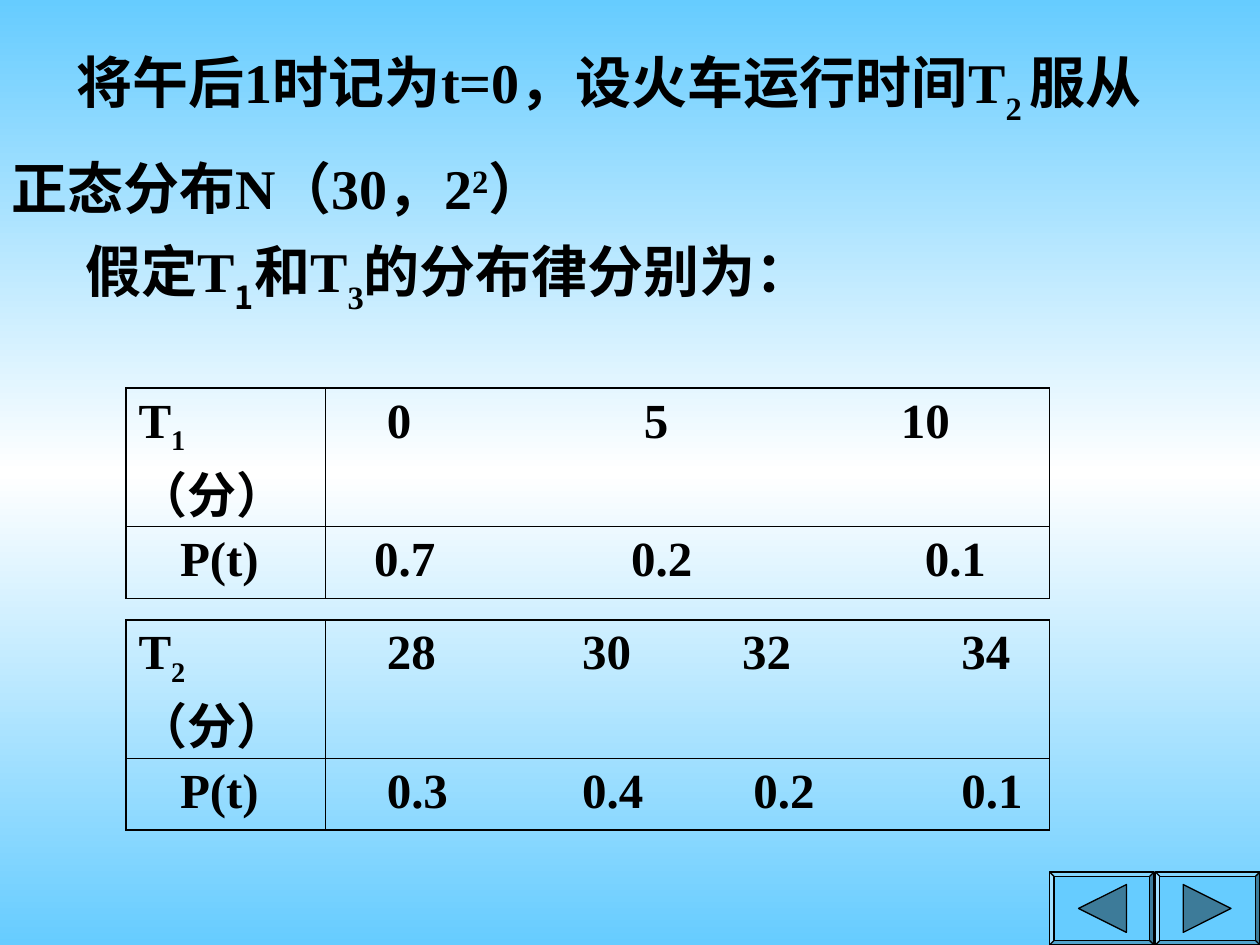
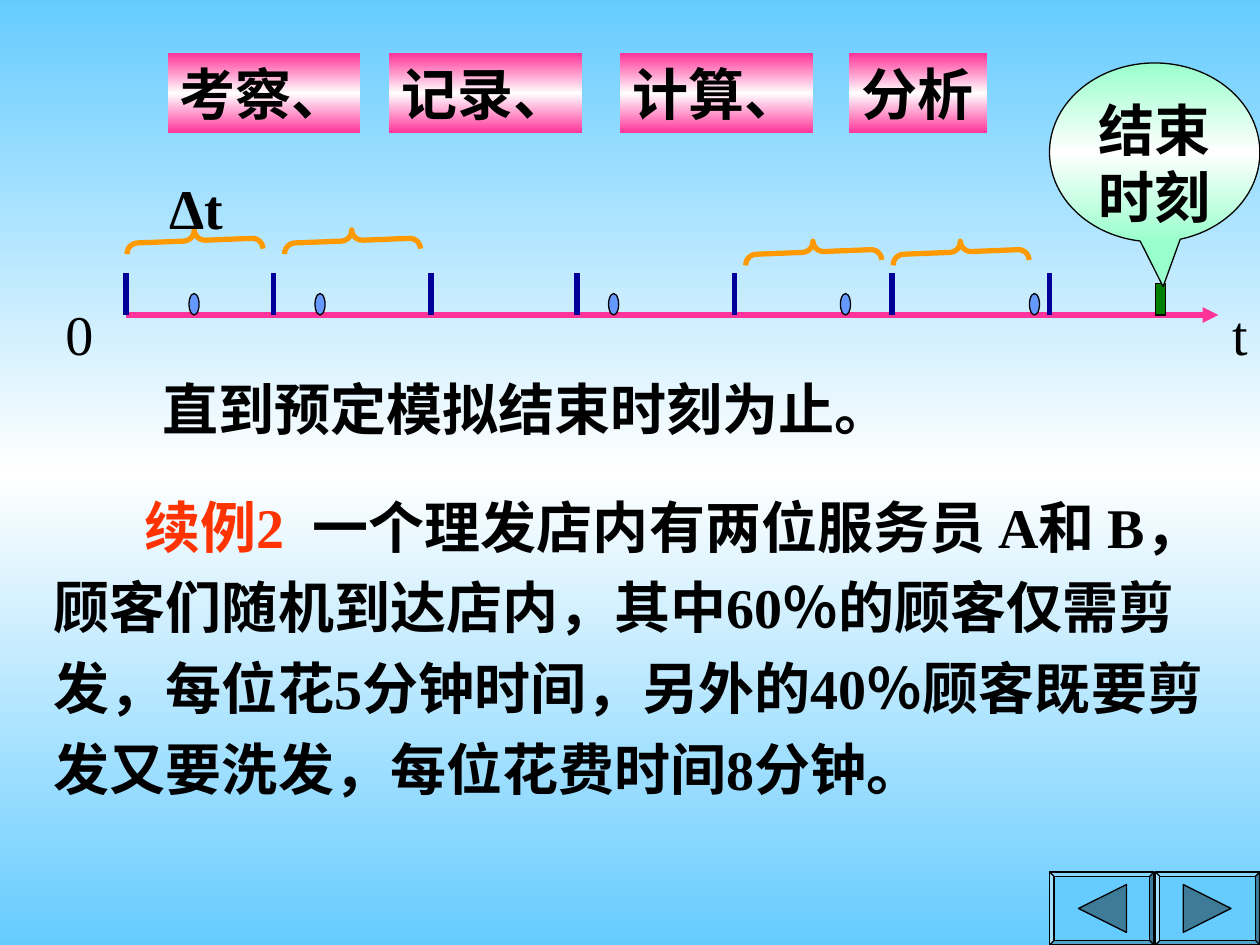
from copy import deepcopy
from lxml.etree import SubElement
from pptx import Presentation
from pptx.dml.color import RGBColor
from pptx.enum.shapes import MSO_CONNECTOR, MSO_SHAPE
from pptx.enum.text import MSO_ANCHOR, MSO_AUTO_SIZE, PP_ALIGN
from pptx.oxml.ns import qn
from pptx.util import Inches, Pt

LATIN, CHINESE = "Times New Roman", "Noto Sans CJK SC"
BLACK, WHITE, SKY, PINK, MINT = "000000", "FFFFFF", "66CCFF", "FF3399", "99FFCC"
NAVY, ORANGE, BLUE, GREEN, RED, TEAL = "000099", "FF9900", "6699FF", "008000", "FF3300", "3D7B99"
SUB, SUPER = {"baseline": -30}, {"baseline": 30}
CELL_SUB = {"baseline": -25}

NORMAL_TIME = [["将午后1时记为t=0，设火车运行时间T", ("2 ", SUB), "服从"],
               ["正态分布N（30，2", ("2", SUPER), "）"]]
ASSUMPTION = ["假定T", ("1", {"baseline": -30, "latin": CHINESE}), "和T", ("3", SUB), "的分布律分别为："]
DISTRIBUTIONS = [
    {"top": 3.08, "index": "1",
     "rows": [(["0", "5", "10"], [0.39, 2.43, 4.47]),
              (["0.7", "0.2", "0.1"], [0.29, 2.33, 4.66])]},
    {"top": 4.92, "index": "2",
     "rows": [(["28", "30", "32", "34"], [0.39, 1.94, 3.21, 4.95]),
              (["0.3", "0.4", "0.2", "0.1"], [0.39, 1.94, 3.3, 4.95])]},
]
TABLE_LEFT, COLUMN_WIDTHS, ROW_HEIGHTS = 1, [1.58, 5.75], [1.1, 0.57]

STEPS = [("考察、", 1.33, 1.53), ("记录、", 3.09, 1.53), ("计算、", 4.92, 1.53), ("分析", 6.74, 1.09)]
AXIS_TOP, AXIS_START, AXIS_END = 2.5, 1, 9.67
TICKS = [1, 2.17, 3.42, 4.58, 5.83, 7.08, 8.33]
ARRIVALS = [1.5, 2.5, 4.83, 6.67, 8.17]
BRACES = [(1.46, 1.37), (2.71, 1.37), (6.37, 1.46), (7.54, 1.46)]
AXIS_LABELS = [("Δt", 1.25, 1.33, 0.75, True), ("0", 0.42, 2.33, 0.5, False), ("t", 9.68, 2.33, 0.32, False)]
BARBER_SHOP = [("续例2", {"color": RED}), (" ", {"tracking": 8}),
               "一个理发店内有两位服务员 A和 B，顾客们随机到达店内，其中60％的顾客仅需剪发，"
               "每位花5分钟时间，另外的40％顾客既要剪发又要洗发，每位花费时间8分钟。"]

BUTTON_LEFTS, BUTTON_TOP, BUTTON_WIDTH, BUTTON_HEIGHT = (8.33, 9.17), 6.92, 0.83, 0.58
TRIANGLES = [[(8.56, 7.21), (8.94, 7.02), (8.94, 7.4)], [(9.39, 7.02), (9.77, 7.21), (9.39, 7.4)]]


def rgb(color):
    return RGBColor.from_string(color)


def paint_gradient(fill, color):
    fill.gradient()
    fill.gradient_angle = 90
    edge, middle = fill.gradient_stops
    edge.color.rgb, middle.color.rgb = rgb(color), rgb(WHITE)
    edge.position, middle.position = 0, 0.5
    last = deepcopy(edge._gs)
    last.set("pos", "100000")
    edge._gs.getparent().append(last)


def add_run(paragraph, text, size=32, color=BLACK, bold=True, latin=LATIN, baseline=0, tracking=0):
    run = paragraph.add_run()
    run.text = text
    font = run.font
    font.size, font.bold, font.name = Pt(size), bold, latin
    font.color.rgb = rgb(color)
    properties = run._r.get_or_add_rPr()
    if baseline:
        properties.set("baseline", str(baseline * 1000))
    if tracking:
        properties.set("spc", str(tracking * 100))
    SubElement(properties, qn("a:ea")).set("typeface", CHINESE)


def write(paragraph, parts, align=PP_ALIGN.LEFT, spacing=None, indent=0, tabs=(), **style):
    paragraph.alignment = align
    if spacing:
        paragraph.line_spacing = spacing
    properties = paragraph._p.get_or_add_pPr()
    if indent:
        properties.set("marL", "0")
        properties.set("indent", str(Inches(indent)))
    if tabs:
        tab_list = SubElement(properties, qn("a:tabLst"))
        for position in tabs:
            SubElement(tab_list, qn("a:tab"), pos=str(Inches(position)), algn="l")
    for part in [parts] if isinstance(parts, str) else parts:
        text, extra = (part, {}) if isinstance(part, str) else part
        add_run(paragraph, text, **{**style, **extra})


def set_frame(frame, wrap, grow=True):
    frame.word_wrap = wrap
    frame.auto_size = MSO_AUTO_SIZE.SHAPE_TO_FIT_TEXT if grow else MSO_AUTO_SIZE.NONE
    frame.vertical_anchor = MSO_ANCHOR.TOP
    return frame


def add_text(slide, box, parts, **style):
    frame = set_frame(slide.shapes.add_textbox(*map(Inches, box)).text_frame, wrap=True)
    write(frame.paragraphs[0], parts, **style)
    return frame


def finish(shape, fill=None, gradient=None, line=None, width=0.75):
    shape.shadow.inherit = False
    if gradient:
        paint_gradient(shape.fill, gradient)
    elif fill:
        shape.fill.solid()
        shape.fill.fore_color.rgb = rgb(fill)
    else:
        shape.fill.background()
    if line:
        shape.line.color.rgb = rgb(line)
        shape.line.width = Pt(width)
    else:
        shape.line.fill.background()
    return shape


def add_preset(slide, preset, box, **look):
    return finish(slide.shapes.add_shape(preset, *map(Inches, box)), **look)


def add_line(slide, start, end, color, arrow=False):
    connector = slide.shapes.add_connector(MSO_CONNECTOR.STRAIGHT, *map(Inches, (*start, *end)))
    connector.line.color.rgb = rgb(color)
    connector.line.width = Pt(3)
    if arrow:
        SubElement(connector.line._get_or_add_ln(), qn("a:tailEnd"), type="triangle")
    SubElement(connector._element.spPr, qn("a:effectLst"))


def add_buttons(slide):
    for left, triangle in zip(BUTTON_LEFTS, TRIANGLES):
        button = add_preset(slide, MSO_SHAPE.BEVEL, (left, BUTTON_TOP, BUTTON_WIDTH, BUTTON_HEIGHT),
                            fill=SKY, line=BLACK)
        button.adjustments[0] = 0.06
        points = [(Inches(x), Inches(y)) for x, y in triangle]
        builder = slide.shapes.build_freeform(*points[0])
        builder.add_line_segments(points[1:])
        finish(builder.convert_to_shape(), fill=TEAL, line=BLACK)


def set_borders(cell, row, column):
    properties = cell._tc.get_or_add_tcPr()
    outer_sides = {"lnL": column == 0, "lnR": column == 1, "lnT": row == 0, "lnB": row == 1}
    for side, outer in outer_sides.items():
        line = SubElement(properties, qn(f"a:{side}"), w=str(Pt(1.08 if outer else 0.45)))
        SubElement(SubElement(line, qn("a:solidFill")), qn("a:srgbClr"), val=BLACK)


def add_distribution(slide, distribution):
    box = (TABLE_LEFT, distribution["top"], sum(COLUMN_WIDTHS), sum(ROW_HEIGHTS))
    table = slide.shapes.add_table(2, 2, *map(Inches, box)).table
    table.first_row = table.horz_banding = False
    for column, width in zip(table.columns, COLUMN_WIDTHS):
        column.width = Inches(width)
    headings = [(["T", (distribution["index"], CELL_SUB), "（分）"], PP_ALIGN.LEFT), ("P(t) ", PP_ALIGN.CENTER)]
    for row, (heading, (values, tabs)) in enumerate(zip(headings, distribution["rows"])):
        table.rows[row].height = Inches(ROW_HEIGHTS[row])
        label, value_cell = table.cell(row, 0), table.cell(row, 1)
        write(label.text_frame.paragraphs[0], heading[0], align=heading[1], size=28)
        write(value_cell.text_frame.paragraphs[0], "".join("\t" + value for value in values), tabs=tabs, size=28)
        for column, cell in enumerate((label, value_cell)):
            set_borders(cell, row, column)
            cell.fill.background()


def build_distribution_slide(slide):
    frame = add_text(slide, (-0.01, 0.33, 10, 1.48), NORMAL_TIME[0], indent=0.52)
    write(frame.add_paragraph(), NORMAL_TIME[1], spacing=1.4)
    add_text(slide, (0.58, 1.83, 5.7, 1.27), ASSUMPTION)
    for distribution in DISTRIBUTIONS:
        add_distribution(slide, distribution)
    add_buttons(slide)


def build_timeline_slide(slide):
    add_buttons(slide)
    for text, left, width in STEPS:
        label = add_preset(slide, MSO_SHAPE.RECTANGLE, (left, 0.42, width, 0.64), gradient=PINK)
        write(set_frame(label.text_frame, wrap=False).paragraphs[0], text)
    add_text(slide, (1.19, 2.92, 6.2, 0.64), "直到预定模拟结束时刻为止。")
    add_line(slide, (AXIS_START, AXIS_TOP), (AXIS_END, AXIS_TOP), PINK, arrow=True)
    for left in ARRIVALS:
        add_preset(slide, MSO_SHAPE.OVAL, (left, 2.33, 0.08, 0.17), fill=BLUE, line=BLACK)
    for tick in TICKS:
        add_line(slide, (tick, 2.17), (tick, AXIS_TOP), NAVY)
    for left, top in BRACES:
        brace = add_preset(slide, MSO_SHAPE.LEFT_BRACE, (left, top, 0.17, 1.08), line=ORANGE, width=3)
        brace.adjustments[0] = 0.5
        brace.rotation = 87.7
    for text, left, top, width, bold in AXIS_LABELS:
        add_text(slide, (left, top, width, 0.64), text, bold=bold)
    add_preset(slide, MSO_SHAPE.RECTANGLE, (9.17, 2.25, 0.08, 0.25), fill=GREEN, line=BLACK)
    callout = add_preset(slide, MSO_SHAPE.OVAL_CALLOUT, (8.33, 0.5, 1.67, 1.42), gradient=MINT, line=BLACK)
    callout.adjustments[0], callout.adjustments[1] = 0.04, 0.75
    frame = set_frame(callout.text_frame, wrap=True, grow=False)
    write(frame.paragraphs[0], "结束时刻", align=PP_ALIGN.CENTER)
    add_text(slide, (0.33, 3.75, 9.42, 2.66), BARBER_SHOP, spacing=1.2, indent=0.72)


def main():
    """Build the two simulation slides and save them."""
    presentation = Presentation()
    presentation.slide_width, presentation.slide_height = Inches(10), Inches(7.5)
    paint_gradient(presentation.slide_master.background.fill, SKY)
    for build in (build_distribution_slide, build_timeline_slide):
        build(presentation.slides.add_slide(presentation.slide_layouts[6]))
    presentation.save("out.pptx")


if __name__ == "__main__":
    main()
